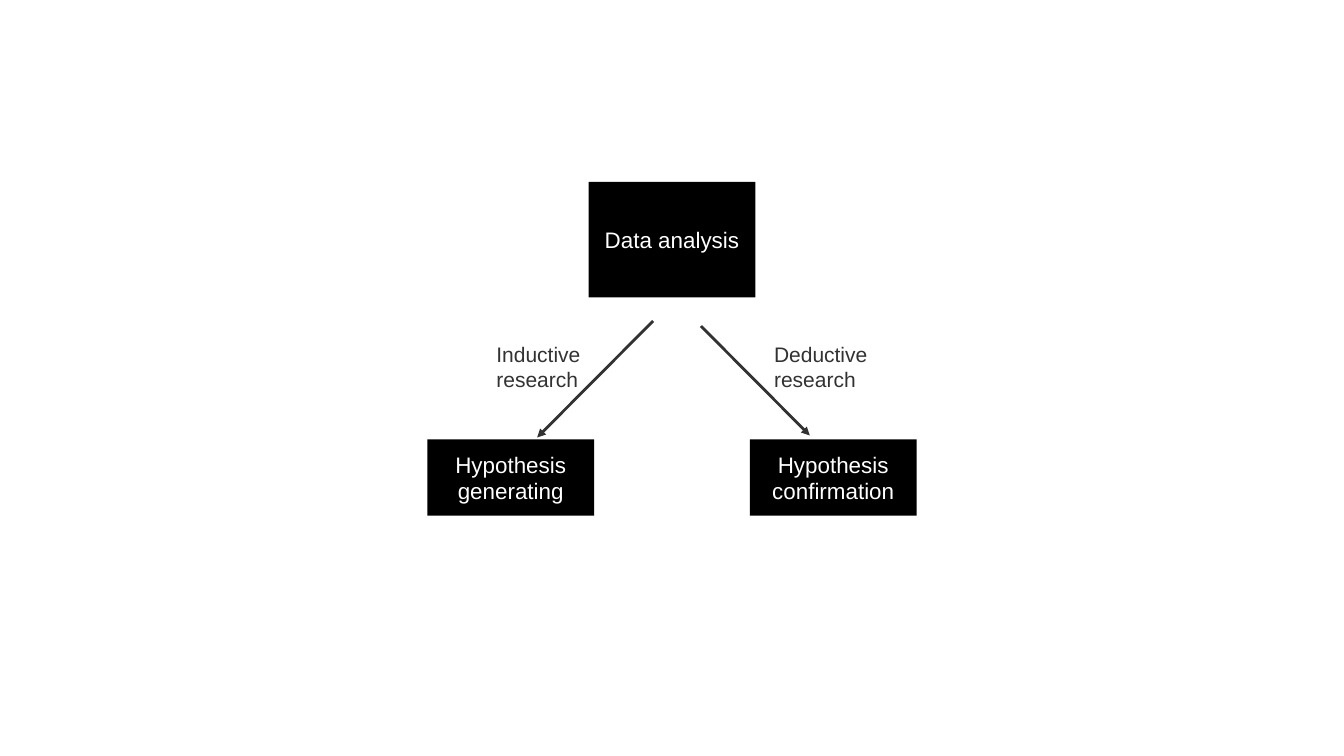
from lxml import etree
from pptx import Presentation
from pptx import util as u
from pptx.dml.color import RGBColor
from pptx.enum import shapes, text
from pptx.oxml.ns import qn

COLOURS = {"box": "000000", "on_box": "FFFFFF", "ink": "323232"}
FONT = "Arial"
SLIDE_WIDTH, SLIDE_HEIGHT = 1920.24, 1080
BOX_WIDTH = 238.3
CENTRE = SLIDE_WIDTH / 2
BRANCH = 230.4  # distance from the centre line to a hypothesis box's centre


class Diagram:
    """Holds the style and the current slide."""

    def __init__(self, page):
        self.page = page

    def colour(self, name):
        return RGBColor.from_string(COLOURS[name])

    def set_text(self, frame, lines, size, colour, align, inset, **format_values):
        sides = ("left", "top", "right", "bottom")
        format_values.update({f"margin_{side}": u.Pt(inset) for side in sides})
        for name, value in format_values.items():
            setattr(frame, name, value)
        for index, line in enumerate(lines):
            para = frame.add_paragraph() if index else frame.paragraphs[0]
            para.alignment = align
            span = para.add_run()
            span.text = line
            for name, value in {"name": FONT, "size": u.Pt(size)}.items():
                setattr(span.font, name, value)
            span.font.color.rgb = self.colour(colour)

    def box(self, centre, top, height, caption):
        box = self.page.shapes.add_shape(
            shapes.MSO_SHAPE.RECTANGLE, u.Pt(centre - BOX_WIDTH / 2),
            u.Pt(top), u.Pt(BOX_WIDTH), u.Pt(height))
        box.shadow.inherit = False
        box.fill.solid()
        box.fill.fore_color.rgb = self.colour("box")
        box.line.fill.background()
        self.set_text(box.text_frame, [caption], 32, "on_box",
                      text.PP_ALIGN.CENTER, 3.6, word_wrap=True,
                      vertical_anchor=text.MSO_ANCHOR.MIDDLE)

    def arrow(self, start, end):
        arrow = self.page.shapes.add_connector(
            shapes.MSO_CONNECTOR.STRAIGHT,
            *(u.Pt(value) for value in start + end))
        arrow.line.color.rgb = self.colour("ink")
        arrow.line.width = u.Pt(4)
        properties = arrow.element.spPr
        etree.SubElement(properties.find(qn("a:ln")), qn("a:tailEnd"),
                         type="triangle")
        etree.SubElement(properties, qn("a:effectLst"))

    def label(self, left, top, width, lines):
        box = self.page.shapes.add_textbox(
            u.Pt(left), u.Pt(top), u.Pt(width), u.Pt(67))
        self.set_text(box.text_frame, lines, 30, "ink", text.PP_ALIGN.LEFT, 0,
                      word_wrap=False,
                      auto_size=text.MSO_AUTO_SIZE.SHAPE_TO_FIT_TEXT)


def main():
    deck = Presentation()
    deck.slide_width, deck.slide_height = u.Pt(SLIDE_WIDTH), u.Pt(SLIDE_HEIGHT)
    diagram = Diagram(deck.slides.add_slide(deck.slide_layouts[6]))

    # Hypothesis boxes on both sides, analysis box above
    diagram.box(CENTRE - BRANCH, 627.8, 108.7, "Hypothesis generating")
    diagram.box(CENTRE + BRANCH, 627.8, 108.7, "Hypothesis confirmation")
    diagram.box(CENTRE, 259.9, 164.9, "Data analysis")

    # Arrows down to the hypotheses
    diagram.arrow((1001.5, 465.8), (1157, 622.1))
    diagram.arrow((933.1, 458.6), (767.5, 625))

    # Research labels
    diagram.label(1105.9, 487.4, 134.6, ["Deductive", "research"])
    diagram.label(709.2, 487.4, 121, ["Inductive", "research"])

    deck.save("out.pptx")


if __name__ == "__main__":
    main()
